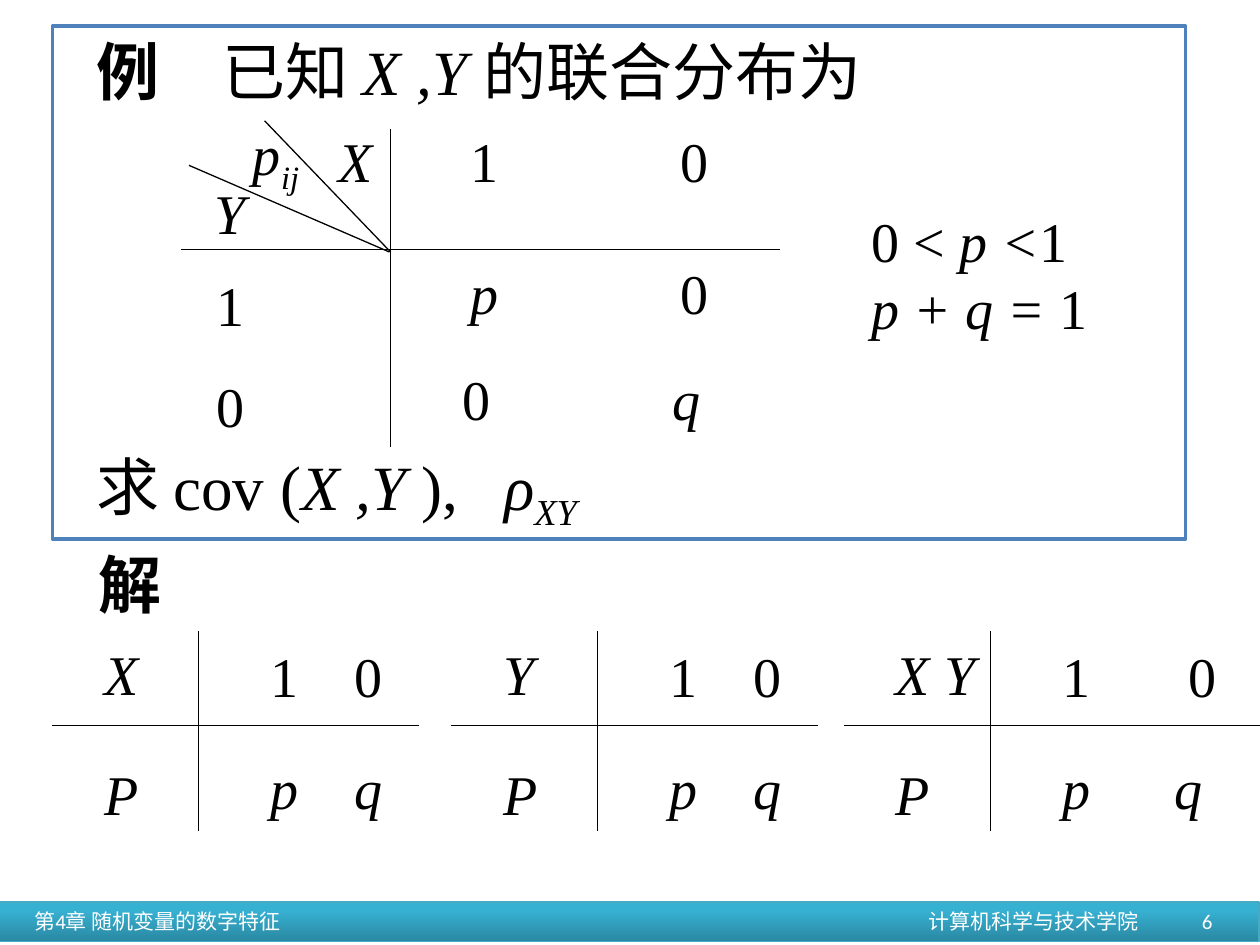
from lxml.etree import SubElement
from pptx import Presentation
from pptx.dml.color import RGBColor
from pptx.enum.shapes import MSO_CONNECTOR as Connector, MSO_SHAPE as Shape
from pptx.enum.text import MSO_ANCHOR as Anchor, PP_ALIGN as Align
from pptx.oxml.ns import qn
from pptx.util import Pt

WIDTH, HEIGHT = 720, 540


def color(value):
    return RGBColor.from_string(value)


class Board:
    """Holds the style and the current slide; all lengths are in points."""
    ink, white, blue = "000000", "FFFFFF", "4F81BD"
    math_font, footer_font, cjk_font = "Times New Roman", "Calibri", "Noto Sans CJK SC"
    body, large, small = 32, 36, 12

    def __init__(self, slide):
        self.slide = slide

    def text(self, left, top, width, height, lines, size=body, font=math_font,
             ink=ink, align=Align.LEFT, anchor=Anchor.TOP):
        """Add lines of (words, style) spans; style letters: i italic, b bold, s subscript."""
        box = self.slide.shapes.add_textbox(Pt(left), Pt(top), Pt(width), Pt(height))
        frame = box.text_frame
        frame.word_wrap = True
        frame.vertical_anchor = anchor
        for number, spans in enumerate(lines):
            para = frame.add_paragraph() if number else frame.paragraphs[0]
            para.alignment = align
            for words, style in spans:
                span = para.add_run()
                span.text = words
                span.font.size = Pt(size)
                span.font.name = font
                span.font.italic = "i" in style
                span.font.bold = "b" in style
                span.font.color.rgb = color(ink)
                props = span.font._element
                SubElement(props, qn("a:ea")).set("typeface", self.cjk_font)
                if "s" in style:
                    props.set("baseline", "-25000")

    def symbol(self, left, top, words, width=44):
        """Add one table entry; letters are italic and digits upright."""
        style = "" if words.isdigit() else "i"
        self.text(left, top, width, 45, [[(words, style)]])

    def footer(self, left, width, words, align=Align.LEFT):
        self.text(left, 514, width, 25, [[(words, "")]], self.small,
                  self.footer_font, self.white, align, Anchor.MIDDLE)

    def line(self, x1, y1, x2, y2):
        line = self.slide.shapes.add_connector(
            Connector.STRAIGHT, Pt(x1), Pt(y1), Pt(x2), Pt(y2))
        line.line.color.rgb = color(self.ink)
        line.line.width = Pt(0.75)
        SubElement(line._element.spPr, qn("a:effectLst"))

    def rectangle(self, left, top, width, height, outline, weight, gradient=None):
        shape = self.slide.shapes.add_shape(
            Shape.RECTANGLE, Pt(left), Pt(top), Pt(width), Pt(height))
        shape.shadow.inherit = False
        shape.line.color.rgb = color(outline)
        shape.line.width = Pt(weight)
        if gradient:
            shape.fill.gradient()
            shape.fill.gradient_angle = 90
            for stop, (position, value) in zip(shape.fill.gradient_stops, gradient):
                stop.position = position
                stop.color.rgb = color(value)
        else:
            shape.fill.background()

    def distribution(self, left, width, name, second_value, second_chance):
        """Add a two-row table; the last two arguments are (offset, words)."""
        self.line(left + 83.5, 360.5, left + 83.5, 475)
        self.line(left, 414.5, left + width, 414.5)
        self.symbol(left + 22.5, 362, name, 76)
        self.symbol(left + 22.5, 430.5, "P")
        for top, first, (offset, second) in ((363, "1", second_value),
                                             (427, "p", second_chance)):
            self.symbol(left + 117.5, top, first)
            self.symbol(left + offset, top, second)


def add_question(board):
    board.text(48, 15, 453, 94, [[("例", "b"), ("\t已知 ", ""), ("X ,Y ", "i"),
                                  ("的联合分布为", "")]], board.large)
    board.line(103.5, 142.6, 445.5, 142.6)
    board.line(223.2, 74, 223.2, 255.5)
    board.line(151.2, 69, 223.2, 144)
    board.line(108, 94.5, 222.5, 144)
    board.symbol(186.5, 69, "X")
    board.symbol(115.5, 98.5, "Y")
    board.text(137.5, 65, 55.5, 45, [[("p", "i"), ("ij", "is")]])
    rows = [(262, 69, "1", "0"), (262, 144, "p", "0"), (257, 205, "0", "q")]
    for left, top, first, second in rows:
        board.symbol(left, top, first)
        board.symbol(left + 120, top, second)
    for top, value in ((151, "1"), (209, "0")):
        board.symbol(116.5, top, value)
    board.text(491, 114.5, 137.5, 84, [
        [("0 < ", ""), ("p <", "i"), ("1", "")],
        [("p + q =", "i"), (" 1", "")]])
    board.text(48, 252, 240, 50, [[("求 cov (", ""), ("X ,Y ", "i"), ("),", "")]],
               board.large)
    board.text(281, 252, 80, 50, [[("ρ", "i"), ("XY", "is")]], board.large)
    board.rectangle(30, 15, 647.5, 293, board.blue, 2)


def add_solution(board):
    board.text(49, 308, 60, 50, [[("解", "b")]], board.large)
    for left, name in ((30, "X"), (258, "Y")):
        board.distribution(left, 209.5, name, (165.5, "0"), (165.5, "q"))
    board.distribution(482.4, 237.6, "X Y", (189.5, "0"), (181.5, "q"))


def add_footer(board):
    board.rectangle(-0.5, 515.5, WIDTH, 22.5, "46AAC5", 0.75,
                    [(0, "2A88A2"), (0.8, "37B1D2")])
    board.footer(12.5, 250, "第4章 随机变量的数字特征")
    board.footer(523.5, 145, "计算机科学与技术学院")
    board.footer(660, 40, "6", Align.RIGHT)


def main():
    deck = Presentation()
    deck.slide_width, deck.slide_height = Pt(WIDTH), Pt(HEIGHT)
    page = deck.slides.add_slide(deck.slide_layouts[6])
    board = Board(page)
    add_footer(board)
    add_question(board)
    add_solution(board)
    deck.save("out.pptx")


if __name__ == "__main__":
    main()
